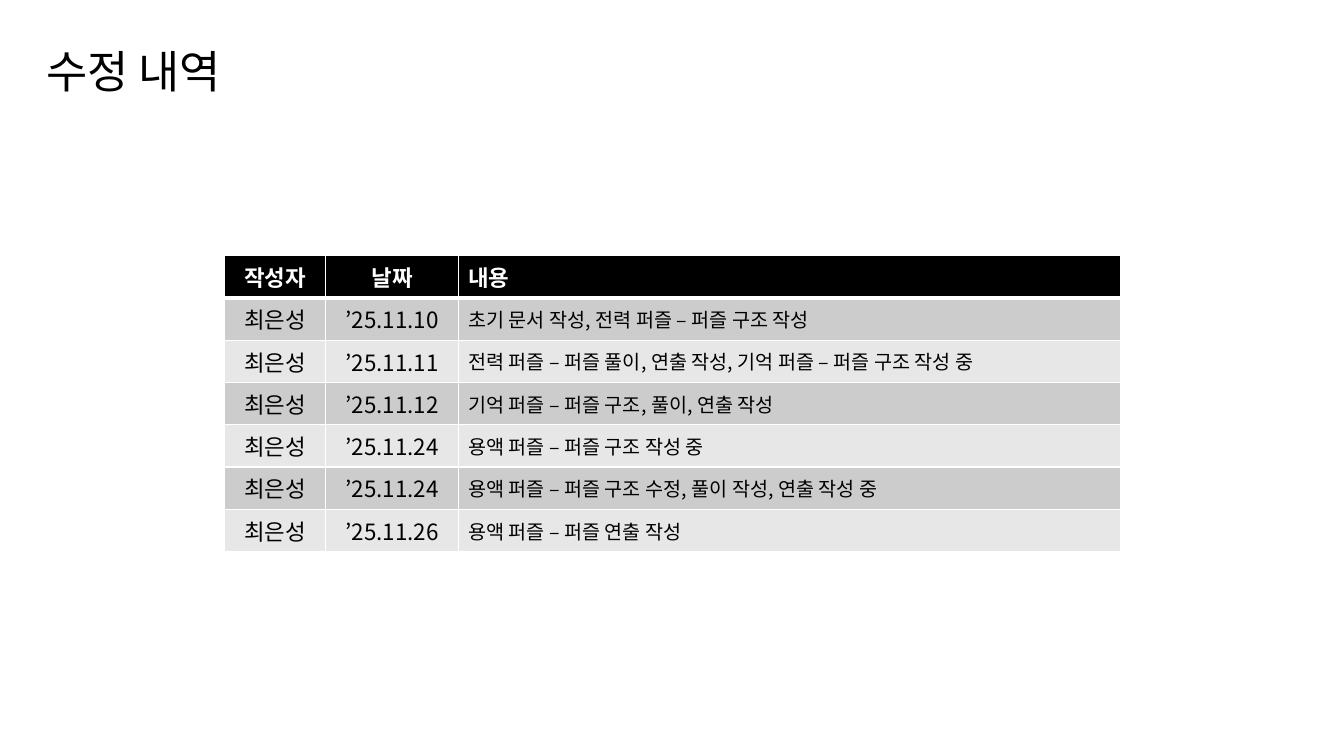
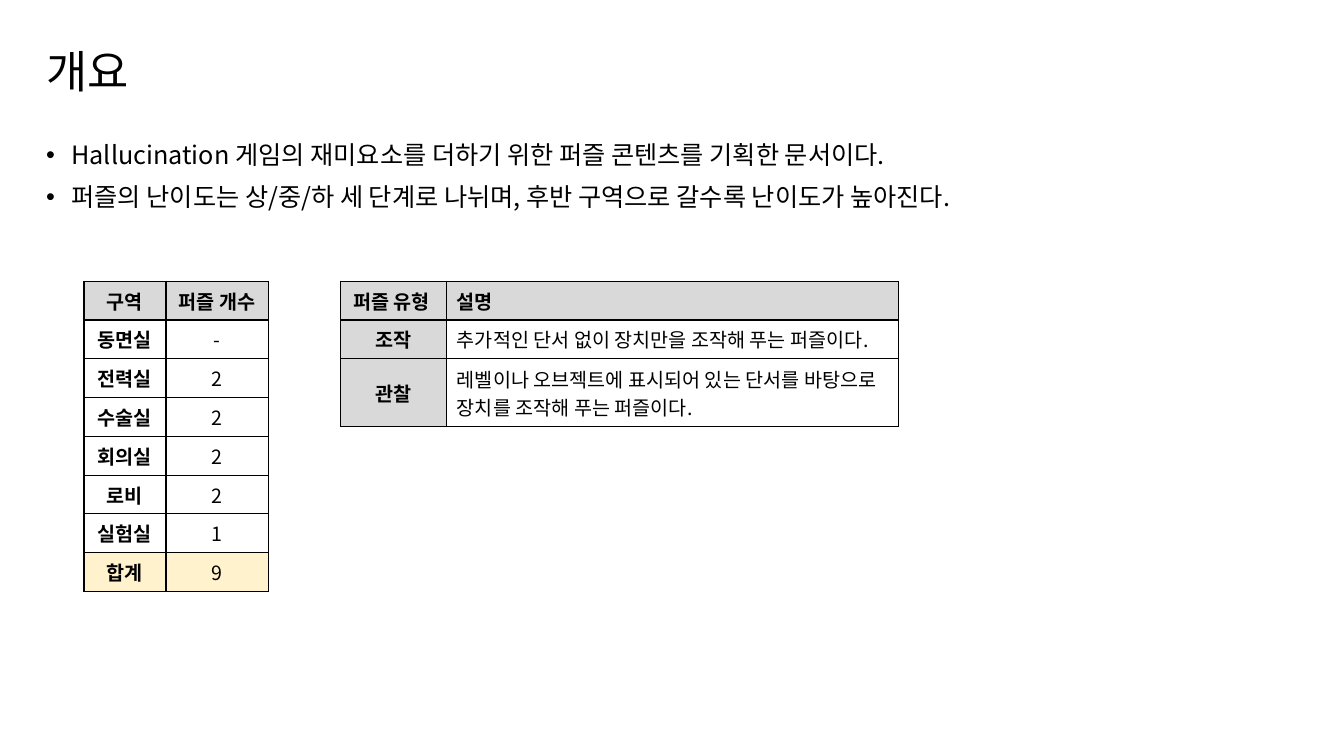
from lxml import etree
from pptx import Presentation
from pptx.dml.color import RGBColor
from pptx.enum.text import MSO_ANCHOR, PP_ALIGN
from pptx.oxml.ns import qn
from pptx.util import Inches, Pt

LEFT, CENTER = PP_ALIGN.LEFT, PP_ALIGN.CENTER
TOP, MIDDLE = MSO_ANCHOR.TOP, MSO_ANCHOR.MIDDLE

BLACK = RGBColor(0x00, 0x00, 0x00)
WHITE = RGBColor(0xFF, 0xFF, 0xFF)
HEADER_GRAY = RGBColor(0xD9, 0xD9, 0xD9)
DARK_BAND = RGBColor(0xCC, 0xCC, 0xCC)
LIGHT_BAND = RGBColor(0xE7, 0xE7, 0xE7)
TOTAL_CREAM = RGBColor(0xFF, 0xF2, 0xCC)

FONT = "Noto Sans CJK KR"
SLIDE_WIDTH, SLIDE_HEIGHT = Inches(13.33), Inches(7.5)
MARGIN, TEXT_WIDTH = 2.7, 86.25
TABLE_TOP = 37.2
LOG_ROW, SMALL_ROW, TWO_LINE_ROW = 5.6, 5.13, 9

AUTHOR = "최은성"
CHANGES = [
    ("’25.11.10", "초기 문서 작성, 전력 퍼즐 – 퍼즐 구조 작성"),
    ("’25.11.11", "전력 퍼즐 – 퍼즐 풀이, 연출 작성, 기억 퍼즐 – 퍼즐 구조 작성 중"),
    ("’25.11.12", "기억 퍼즐 – 퍼즐 구조, 풀이, 연출 작성"),
    ("’25.11.24", "용액 퍼즐 – 퍼즐 구조 작성 중"),
    ("’25.11.24", "용액 퍼즐 – 퍼즐 구조 수정, 풀이 작성, 연출 작성 중"),
    ("’25.11.26", "용액 퍼즐 – 퍼즐 연출 작성"),
]
OVERVIEW = [
    "Hallucination 게임의 재미요소를 더하기 위한 퍼즐 콘텐츠를 기획한 문서이다.",
    "퍼즐의 난이도는 상/중/하 세 단계로 나뉘며, 후반 구역으로 갈수록 난이도가 높아진다.",
]
AREAS = [
    ("구역", "퍼즐 개수"),
    ("동면실", "-"),
    ("전력실", "2"),
    ("수술실", "2"),
    ("회의실", "2"),
    ("로비", "2"),
    ("실험실", "1"),
    ("합계", "9"),
]
PUZZLE_TYPES = [
    ("퍼즐 유형 ", "설명"),
    ("조작", "추가적인 단서 없이 장치만을 조작해 푸는 퍼즐이다."),
    ("관찰", "레벨이나 오브젝트에 표시되어 있는 단서를 바탕으로 장치를 조작해 푸는 퍼즐이다."),
]


def across(percent):
    return round(SLIDE_WIDTH * percent / 100)


def down(percent):
    return round(SLIDE_HEIGHT * percent / 100)


def write(para, text, size=14, bold=False, color=BLACK, align=LEFT):
    para.alignment = align
    span = para.add_run()
    span.text = text
    span.font.size = Pt(size)
    span.font.bold = bold
    span.font.color.rgb = color
    span.font.name = FONT
    east_asian = etree.SubElement(span.font._element, qn("a:ea"))
    east_asian.set("typeface", FONT)


def add_text(page, top, height, lines, size, anchor=TOP, bullet=False):
    box = page.shapes.add_textbox(
        across(MARGIN), down(top), across(TEXT_WIDTH), down(height))
    frame = box.text_frame
    frame.word_wrap = True
    frame.vertical_anchor = anchor
    for index, line in enumerate(lines):
        para = frame.add_paragraph() if index else frame.paragraphs[0]
        para.line_spacing = 0.9
        if index:
            para.space_before = Pt(10)
        if bullet:
            add_bullet(para)
        write(para, line, size=size)


def add_bullet(para):
    properties = para._p.get_or_add_pPr()
    properties.set("marL", str(Inches(0.25)))
    properties.set("indent", str(Inches(-0.25)))
    font = etree.SubElement(properties, qn("a:buFont"))
    font.set("typeface", "Arial")
    mark = etree.SubElement(properties, qn("a:buChar"))
    mark.set("char", "•")


def add_border(cell, color, widths):
    properties = cell._tc.get_or_add_tcPr()
    for index, (side, width) in enumerate(zip("LRTB", widths)):
        line = etree.Element(qn(f"a:ln{side}"))
        line.set("w", str(Pt(width)))
        fill = etree.SubElement(line, qn("a:solidFill"))
        etree.SubElement(fill, qn("a:srgbClr")).set("val", str(color))
        properties.insert(index, line)


def add_grid(page, left, top, columns, heights, rows, style):
    frame = page.shapes.add_table(
        len(rows), len(columns), across(left), down(top),
        across(sum(columns)), down(sum(heights)))
    table = frame.table
    for column, width in zip(table.columns, columns):
        column.width = across(width)
    for row, height in zip(table.rows, heights):
        row.height = down(height)
    for r, row in enumerate(rows):
        for c, text in enumerate(row):
            fill, border, widths, text_format = style(r, c)
            cell = table.cell(r, c)
            cell.vertical_anchor = MIDDLE
            cell.fill.solid()
            cell.fill.fore_color.rgb = fill
            add_border(cell, border, widths)
            write(cell.text_frame.paragraphs[0], text, **text_format)


def log_style(row, column):
    header = row == 0
    if header:
        fill = BLACK
    else:
        fill = DARK_BAND if row % 2 else LIGHT_BAND
    widths = (1, 1, 3 if row == 1 else 1, 3 if header else 1)
    details = column == 2
    return fill, WHITE, widths, dict(
        size=14 if details and not header else 16, bold=header,
        color=WHITE if header else BLACK, align=LEFT if details else CENTER)


def area_style(row, column):
    fills = {0: HEADER_GRAY, len(AREAS) - 1: TOTAL_CREAM}
    return fills.get(row, WHITE), BLACK, (1,) * 4, dict(
        bold=row == 0 or column == 0, align=CENTER)


def type_style(row, column):
    heading = row == 0 or column == 0
    return HEADER_GRAY if heading else WHITE, BLACK, (1,) * 4, dict(
        bold=heading, align=LEFT if column else CENTER)


def add_page(deck, title):
    page = deck.slides.add_slide(deck.slide_layouts[6])
    add_text(page, 4.27, 11.07, [title], size=32, anchor=MIDDLE)
    return page


def add_history(deck):
    page = add_page(deck, "수정 내역")
    rows = [("작성자", "날짜", "내용")]
    rows += [(AUTHOR, *change) for change in CHANGES]
    add_grid(page, 16.7, 33.8, (7.55, 9.85, 49.3),
             [LOG_ROW] * len(rows), rows, log_style)


def add_overview(deck):
    page = add_page(deck, "개요")
    add_text(page, 18.27, 23.33, OVERVIEW, size=18, bullet=True)
    add_grid(page, 6.25, TABLE_TOP, (6.1, 7.6),
             [SMALL_ROW] * len(AREAS), AREAS, area_style)
    add_grid(page, 25.35, TABLE_TOP, (7.9, 33.6),
             [SMALL_ROW, SMALL_ROW, TWO_LINE_ROW], PUZZLE_TYPES, type_style)


def main():
    deck = Presentation()
    deck.slide_width, deck.slide_height = SLIDE_WIDTH, SLIDE_HEIGHT
    add_history(deck)
    add_overview(deck)
    deck.save("out.pptx")


if __name__ == "__main__":
    main()
